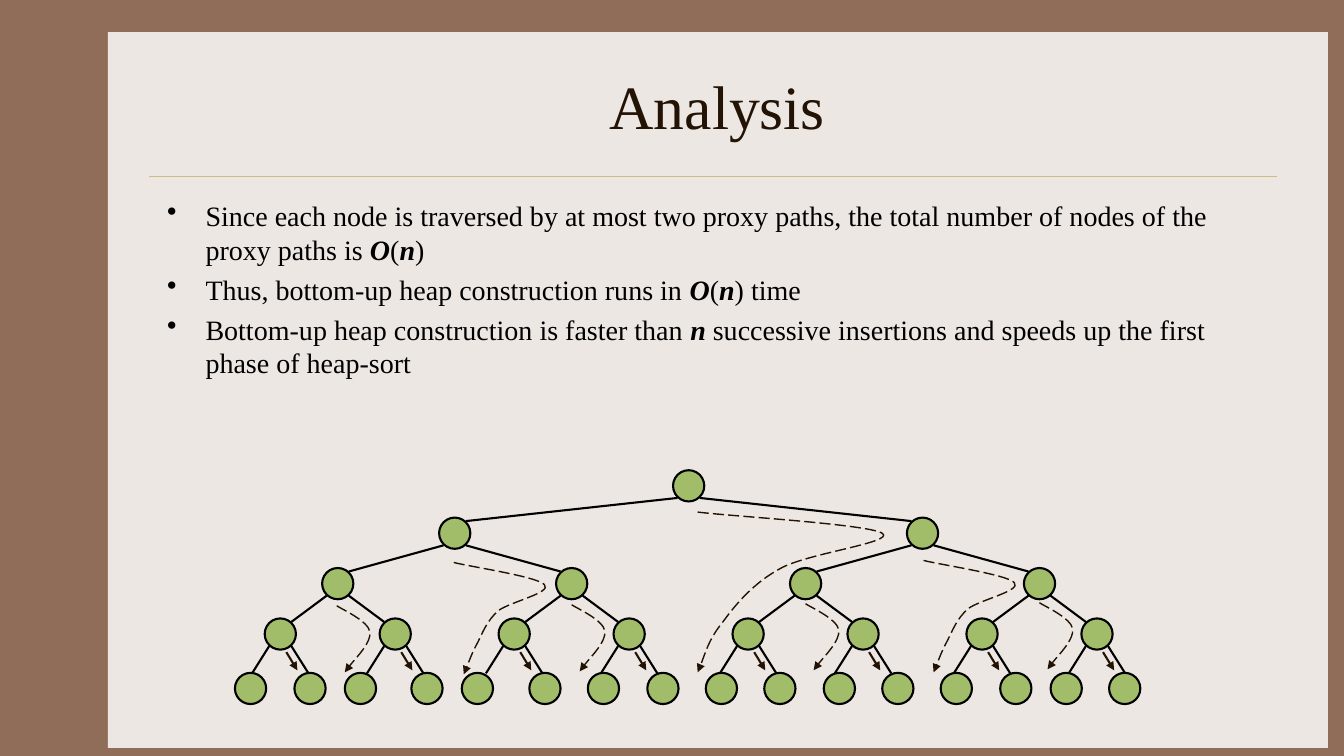
"""Build the Analysis slide on bottom-up heap construction."""
from dataclasses import dataclass

from lxml import etree
from pptx import Presentation
from pptx.dml.color import RGBColor
from pptx.enum.dml import MSO_LINE
from pptx.enum.shapes import MSO_CONNECTOR, MSO_SHAPE
from pptx.enum.text import MSO_ANCHOR, PP_ALIGN
from pptx.oxml.ns import qn
from pptx.util import Inches, Pt

STRAIGHT = MSO_CONNECTOR.STRAIGHT
OVAL, RECTANGLE = MSO_SHAPE.OVAL, MSO_SHAPE.RECTANGLE
LONG_DASH = MSO_LINE.LONG_DASH
CENTER, MIDDLE, TOP = PP_ALIGN.CENTER, MSO_ANCHOR.MIDDLE, MSO_ANCHOR.TOP

FONT = "Times New Roman"
COLORS = {"frame": "906D58", "panel": "EDE7E3", "rule": "CBBD83",
          "dark": "221304", "black": "000000", "node": "A1BD69"}

DIAMETER = 0.31
EDGE_DX, EDGE_DY = 0.11, 0.12
LEVEL_Y = (4.82, 5.29, 5.79, 6.29)
CHILD_DX = (2.32, 1.16, 0.57)
ROOT_X = 6.83
LEAF_Y = 6.83
LEAF_LEFTS = (2.33, 2.92, 3.42, 4.08, 4.58, 5.25, 5.83, 6.42,
              7, 7.58, 8.17, 8.75, 9.33, 9.92, 10.42, 11)

BULLETS = (
    (("Since each node is traversed by at most two proxy paths, the total "
      "number of nodes of the proxy paths is ", False),
     ("O", True), ("(", False), ("n", True), (")", False)),
    (("Thus, bottom-up heap construction runs in ", False),
     ("O", True), ("(", False), ("n", True), (") time", False)),
    (("Bottom-up heap construction is faster than ", False), ("n", True),
     (" successive insertions and speeds up the first phase of heap-sort", False)),
)

LONG_CURVE = ((0.3, 0.04), (1.69, 0.12), (1.83, 0.21),
              (1.97, 0.3), (1.08, 0.41), (0.82, 0.56),
              (0.56, 0.7), (0.38, 0.91), (0.25, 1.09),
              (0.11, 1.26), (0.05, 1.48), (0, 1.59))
MEDIUM_CURVE = ((0.15, 0.04), (0.83, 0.14), (0.9, 0.22),
                (0.98, 0.3), (0.56, 0.39), (0.44, 0.48),
                (0.33, 0.58), (0.29, 0.69), (0.24, 0.79),
                (0.18, 0.9), (0.13, 1.04), (0.1, 1.11))
SHORT_CURVE = ((0.06, 0.04), (0.31, 0.15), (0.33, 0.26),
               (0.34, 0.37), (0.13, 0.58), (0.08, 0.66))


@dataclass(frozen=True)
class Node:
    """A tree node given by its centre."""
    x: float
    y: float


@dataclass(frozen=True)
class ProxyPath:
    """A dashed curve: its start and its Bezier points relative to it."""
    x: float
    y: float
    curve: tuple


PROXY_PATHS = (
    ProxyPath(6.92, 5.08, LONG_CURVE),
    ProxyPath(9.16, 5.56, MEDIUM_CURVE),
    ProxyPath(4.5, 5.58, MEDIUM_CURVE),
    ProxyPath(3.34, 6.01, SHORT_CURVE),
    ProxyPath(5.67, 6, SHORT_CURVE),
    ProxyPath(7.99, 5.99, SHORT_CURVE),
    ProxyPath(10.31, 5.98, SHORT_CURVE),
)


def rgb(name: str) -> RGBColor:
    """Look up a named colour."""
    return RGBColor.from_string(COLORS[name])


def style_line(line, color: str, width: float) -> None:
    """Set the colour and width of a line."""
    line.color.rgb = rgb(color)
    line.width = Pt(width)


def add_arrowhead(sp, end: str) -> None:
    """Put a triangle at the headEnd or tailEnd of a line."""
    ln = sp.line._get_or_add_ln()
    etree.SubElement(ln, qn(f"a:{end}"), type="triangle")


def add_line(slide, x1: float, y1: float, x2: float, y2: float,
             color: str = "black", width: float = 1.5):
    """Draw a straight line without shadow."""
    sp = slide.shapes.add_connector(
        STRAIGHT, Inches(x1), Inches(y1), Inches(x2), Inches(y2))
    style_line(sp.line, color, width)
    etree.SubElement(sp._element.spPr, qn("a:effectLst"))
    return sp


def add_node(slide, node: Node) -> None:
    """Draw one tree node."""
    sp = slide.shapes.add_shape(
        OVAL, Inches(node.x - DIAMETER / 2), Inches(node.y - DIAMETER / 2),
        Inches(DIAMETER), Inches(DIAMETER))
    sp.shadow.inherit = False
    sp.fill.solid()
    sp.fill.fore_color.rgb = rgb("node")
    style_line(sp.line, "black", 1.5)


def add_proxy_path(slide, route: ProxyPath) -> None:
    """Draw a dashed curved arrow from cubic Bezier points."""
    points = [(Inches(route.x + dx), Inches(route.y + dy)) for dx, dy in route.curve]
    builder = slide.shapes.build_freeform(Inches(route.x), Inches(route.y))
    builder.add_line_segments(points, close=False)
    sp = builder.convert_to_shape()
    segments = list(sp._element.iter(qn("a:lnTo")))
    outline = segments[0].getparent()
    for i in range(0, len(segments), 3):
        curve = etree.SubElement(outline, qn("a:cubicBezTo"))
        for segment in segments[i:i + 3]:
            curve.append(segment[0])
            outline.remove(segment)
    sp.shadow.inherit = False
    sp.fill.background()
    style_line(sp.line, "dark", 1)
    sp.line.dash_style = LONG_DASH
    add_arrowhead(sp, "tailEnd")


def add_run(p, text: str, size: float, color: str, strong: bool = False) -> None:
    """Append a run, bold italic if strong."""
    r = p.add_run()
    r.text = text
    r.font.name = FONT
    r.font.size = Pt(size)
    r.font.color.rgb = rgb(color)
    r.font.bold = r.font.italic = strong


def add_frame(slide) -> None:
    """Draw the background, the panel behind the title and the rule."""
    slide.background.fill.solid()
    slide.background.fill.fore_color.rgb = rgb("frame")
    sp = slide.shapes.add_shape(
        RECTANGLE, Inches(1.07), Inches(0.32), Inches(12.1), Inches(7.1))
    sp.shadow.inherit = False
    sp.fill.solid()
    sp.fill.fore_color.rgb = rgb("panel")
    sp.line.fill.background()
    slide.shapes._spTree.insert(2, sp._element)
    add_line(slide, 1.48, 1.75, 12.67, 1.75, "rule", 0.25)


def add_title(slide) -> None:
    """Place and fill the title."""
    sp = slide.shapes.title
    sp.left, sp.top = Inches(1.56), Inches(0.42)
    sp.width, sp.height = Inches(11.11), Inches(1.25)
    sp.text_frame.vertical_anchor = MIDDLE
    p = sp.text_frame.paragraphs[0]
    p.alignment = CENTER
    add_run(p, "Analysis", 44, "dark")


def add_bullets(slide) -> None:
    """Write the bulleted statements."""
    sp = slide.shapes.add_textbox(
        Inches(1.56), Inches(1.92), Inches(11.11), Inches(4.5))
    tf = sp.text_frame
    tf.word_wrap = True
    tf.vertical_anchor = TOP
    for i, runs in enumerate(BULLETS):
        p = tf.add_paragraph() if i else tf.paragraphs[0]
        pPr = p._p.get_or_add_pPr()
        pPr.set("marL", str(Inches(0.38)))
        pPr.set("indent", str(-Inches(0.38)))
        etree.SubElement(pPr, qn("a:buChar"), char="•")
        if i:
            p.space_before = Pt(4.6)
        for text, strong in runs:
            add_run(p, text, 20, "black", strong)


def add_tree(slide) -> None:
    """Draw the edges, inner nodes, proxy paths and leaves of the heap."""
    level = [Node(ROOT_X, LEVEL_Y[0])]
    inner = list(level)
    for dx, y in zip(CHILD_DX, LEVEL_Y[1:]):
        children = []
        for parent in level:
            for side in (-1, 1):
                child = Node(parent.x + side * dx, y)
                children.append(child)
                add_line(slide, parent.x + side * EDGE_DX, parent.y + EDGE_DY,
                         child.x - side * EDGE_DX, child.y - EDGE_DY)
        level = children
        inner += children
    for parent in level:
        for side in (-1, 1):
            add_line(slide, parent.x + side * EDGE_DX, parent.y + EDGE_DY,
                     parent.x + side * 0.28, 6.68)
    for node in inner:
        add_node(slide, node)
    for route in PROXY_PATHS:
        add_proxy_path(slide, route)
    for parent in level:
        sp = add_line(slide, parent.x + 0.17, 6.65, parent.x + 0.06, 6.47, "dark")
        sp.line.dash_style = LONG_DASH
        add_arrowhead(sp, "headEnd")
    for left in LEAF_LEFTS:
        add_node(slide, Node(left + DIAMETER / 2, LEAF_Y))


def main() -> None:
    """Build and save the slide."""
    prs = Presentation()
    prs.slide_width, prs.slide_height = Inches(13.33), Inches(7.5)
    slide = prs.slides.add_slide(prs.slide_layouts[5])
    add_frame(slide)
    add_title(slide)
    add_bullets(slide)
    add_tree(slide)
    prs.save("out.pptx")


if __name__ == "__main__":
    main()
